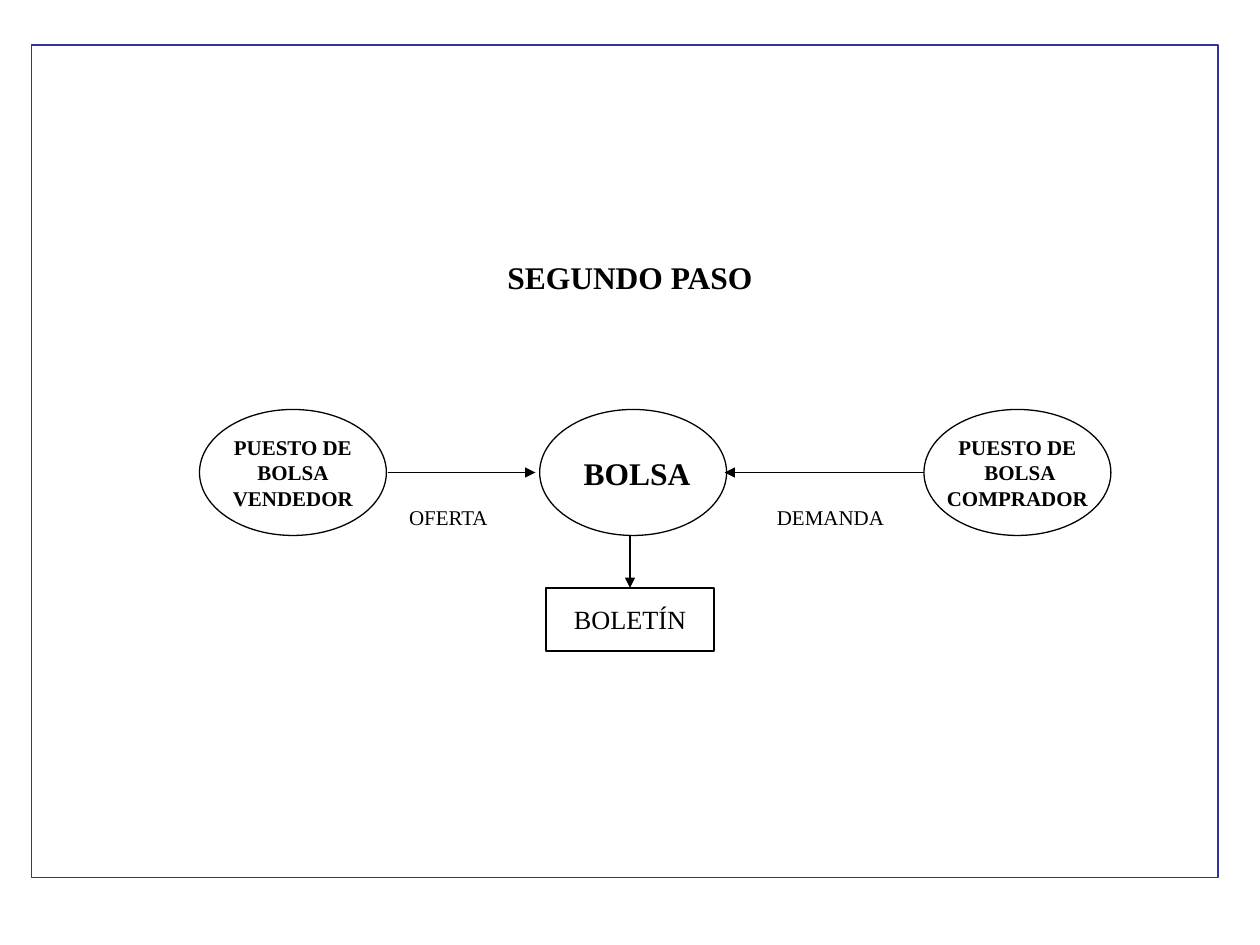
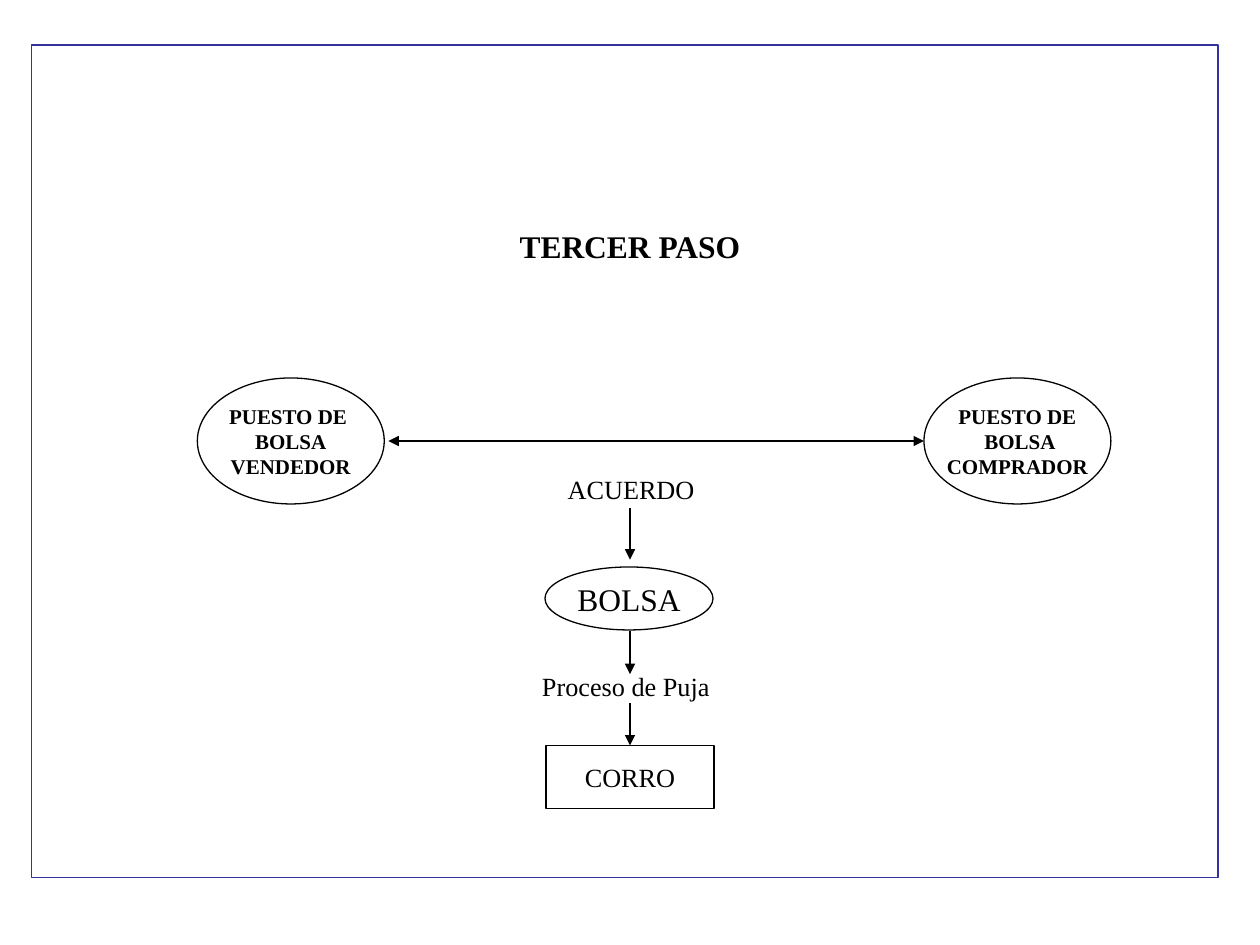
"""Build two flow diagrams showing the second and third steps of a stock exchange trade."""
from lxml.etree import SubElement
from pptx import Presentation
from pptx.dml.color import RGBColor
from pptx.enum.shapes import MSO_CONNECTOR as CONN, MSO_SHAPE as SHAPE
from pptx.enum.text import MSO_ANCHOR as ANCHOR, PP_ALIGN as ALIGN
from pptx.oxml.ns import qn
from pptx.util import Inches, Pt

BLACK = RGBColor(0x00, 0x00, 0x00)
WHITE = RGBColor(0xFF, 0xFF, 0xFF)
NAVY = RGBColor(0x33, 0x33, 0x99)
FONT = "Times New Roman"
LINE_W = Pt(0.75)

COLS, ROWS = 120, 90
FRAME = (3, 4.3, 113, 79.3)
TITLE_LEFT, TITLE_SIZE = 32.4, (55.2, 5.8)
LABEL_SIZE = (20, 4)
PARTY = (SHAPE.OVAL, 17.8, 12)
OVAL_STEP = (SHAPE.OVAL, 16, 6)
BOX_STEP = (SHAPE.RECTANGLE, 16, 6)

BUYER = ["PUESTO DE", " BOLSA", "COMPRADOR"]

# Nodes: kind, left, top, lines, size, bold. Labels: centre, top, text, size.
# Arrows: start, end, both ends pointed.
STEPS = [
    dict(
        title="SEGUNDO PASO", title_top=23,
        nodes=[
            (PARTY, 19, 39, ["PUESTO DE", "BOLSA", "VENDEDOR"], 12, True),
            (PARTY, 51.4, 39, [" BOLSA"], 18, True),
            (PARTY, 88, 39, BUYER, 12, True),
            (BOX_STEP, 52, 56, ["BOLETÍN"], 15, False),
        ],
        labels=[(42.7, 47.5, "OFERTA", 12), (79.1, 47.5, "DEMANDA", 12)],
        arrows=[
            ((37, 45), (51, 45), False),
            ((88, 45), (69, 45), False),
            ((60, 51), (60, 56), False),
        ],
    ),
    dict(
        title="TERCER PASO", title_top=20,
        nodes=[
            (PARTY, 18.8, 36, ["PUESTO DE ", "BOLSA", "VENDEDOR"], 12, True),
            (PARTY, 88, 36, BUYER, 12, True),
            (OVAL_STEP, 51.9, 54, ["BOLSA"], 18, False),
            (BOX_STEP, 52, 71, ["CORRO"], 15, False),
        ],
        labels=[(60.1, 44.5, "ACUERDO", 15), (59.6, 63.2, "Proceso de Puja", 15)],
        arrows=[
            ((37, 42), (88, 42), True),
            ((60, 48.4), (60, 53.3), False),
            ((60, 60.1), (60, 64.2), False),
            ((60, 67), (60, 71), False),
        ],
    ),
]

prs = Presentation()
prs.slide_width, prs.slide_height = Inches(10), Inches(7.5)


def place(*cells):
    """Turn alternating column and row counts into lengths."""
    units = (prs.slide_width / COLS, prs.slide_height / ROWS)
    return [round(c * units[i % 2]) for i, c in enumerate(cells)]


def write(sp, lines, size, bold=False, anchor=ANCHOR.MIDDLE, wrap=False):
    tf = sp.text_frame
    tf.word_wrap, tf.vertical_anchor = wrap, anchor
    for i, line in enumerate(lines):
        p = tf.add_paragraph() if i else tf.paragraphs[0]
        p.alignment = ALIGN.CENTER
        r = p.add_run()
        r.text = line
        r.font.name, r.font.size, r.font.bold = FONT, Pt(size), bold
        r.font.color.rgb = BLACK


def outline(s, kind, cells, color, fill=None):
    sp = s.shapes.add_shape(kind, *place(*cells))
    sp.shadow.inherit = False
    if fill is None:
        sp.fill.background()
    else:
        sp.fill.solid()
        sp.fill.fore_color.rgb = fill
    sp.line.color.rgb, sp.line.width = color, LINE_W
    return sp


def text(s, cells, line, size, **style):
    write(s.shapes.add_textbox(*place(*cells)), [line], size, **style)


def arrow(s, start, end, both):
    cn = s.shapes.add_connector(CONN.STRAIGHT, *place(*start, *end))
    cn.line.color.rgb, cn.line.width = BLACK, LINE_W
    ln = cn.line._get_or_add_ln()
    for tip in (["headEnd"] if both else []) + ["tailEnd"]:
        SubElement(ln, qn(f"a:{tip}"), type="triangle")
    SubElement(cn._element.spPr, qn("a:effectLst"))


def build(step):
    s = prs.slides.add_slide(prs.slide_layouts[6])
    outline(s, SHAPE.RECTANGLE, FRAME, NAVY)
    text(s, (TITLE_LEFT, step["title_top"], *TITLE_SIZE), step["title"], 18,
         bold=True, anchor=ANCHOR.BOTTOM, wrap=True)
    for (kind, w, h), left, top, lines, size, bold in step["nodes"]:
        write(outline(s, kind, (left, top, w, h), BLACK, WHITE), lines, size, bold)
    for start, end, both in step["arrows"]:
        arrow(s, start, end, both)
    w, h = LABEL_SIZE
    for centre, top, line, size in step["labels"]:
        text(s, (centre - w / 2, top, w, h), line, size, anchor=ANCHOR.TOP)


def main():
    for step in STEPS:
        build(step)
    prs.save("out.pptx")


if __name__ == "__main__":
    main()
